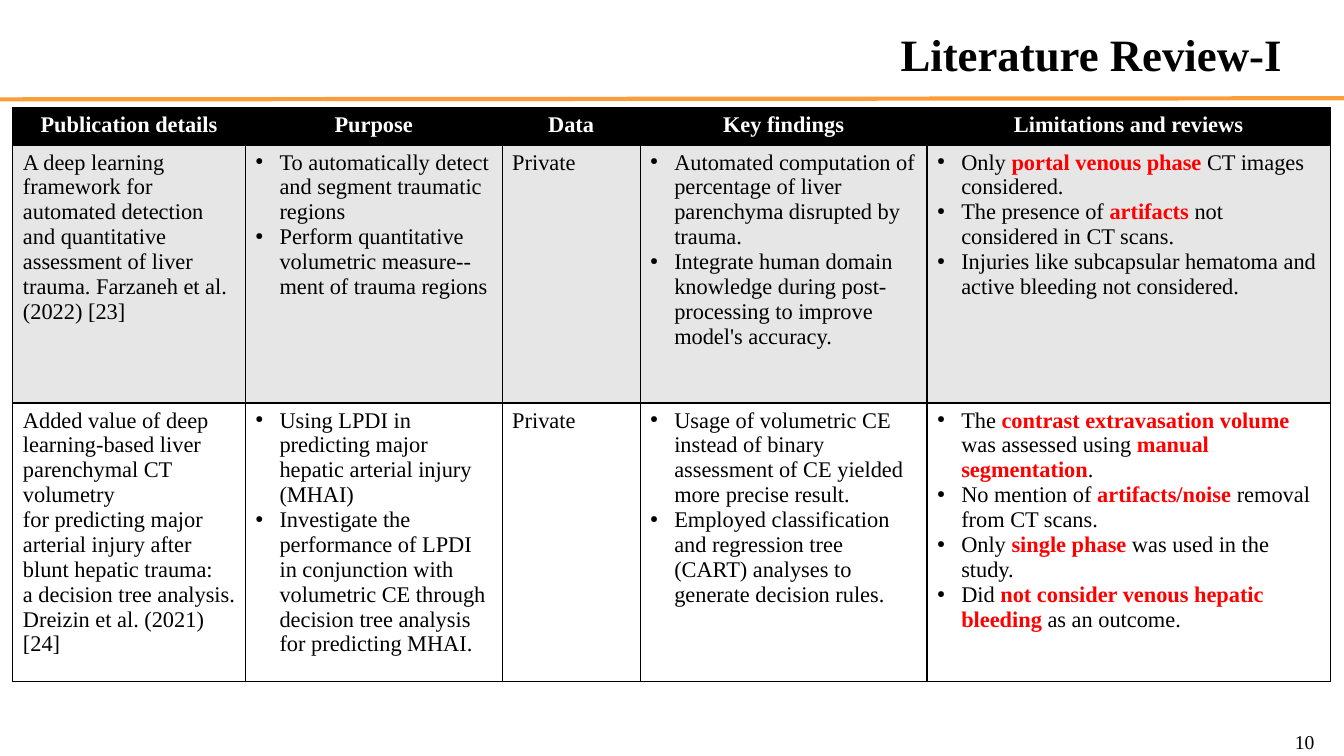
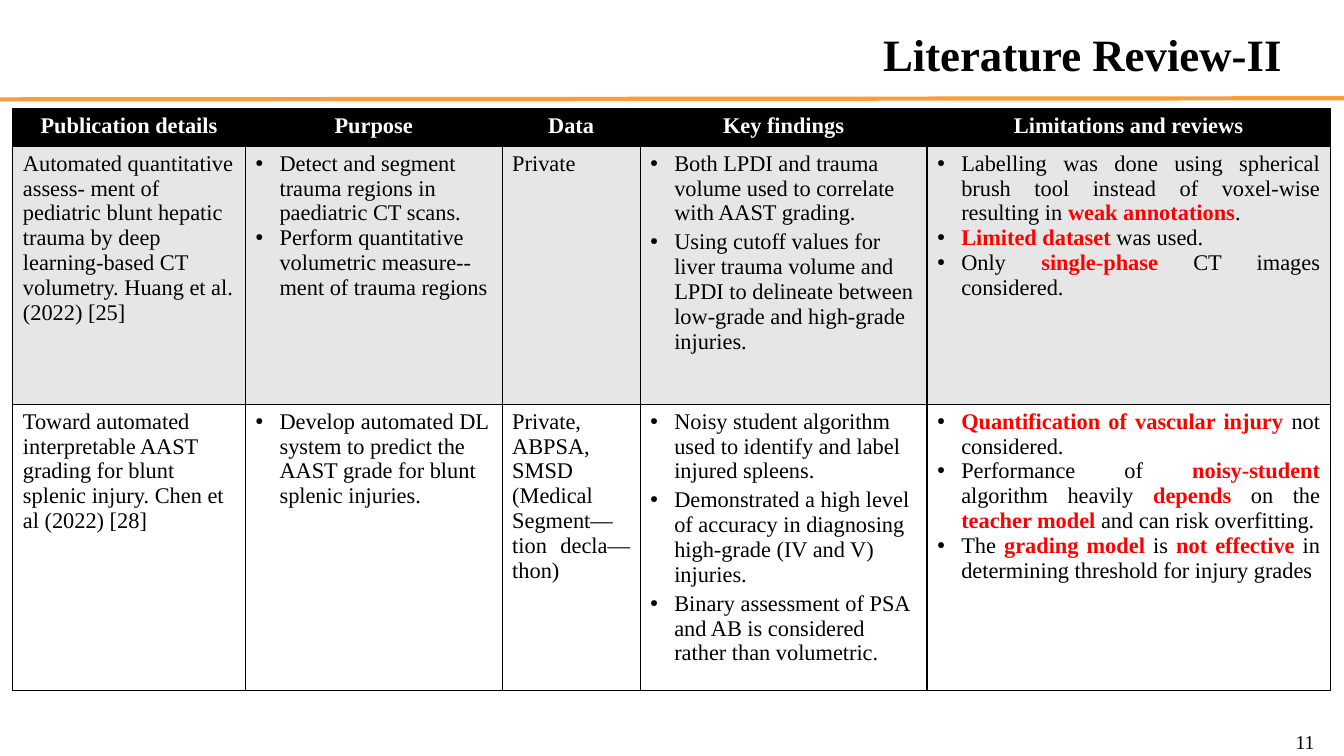
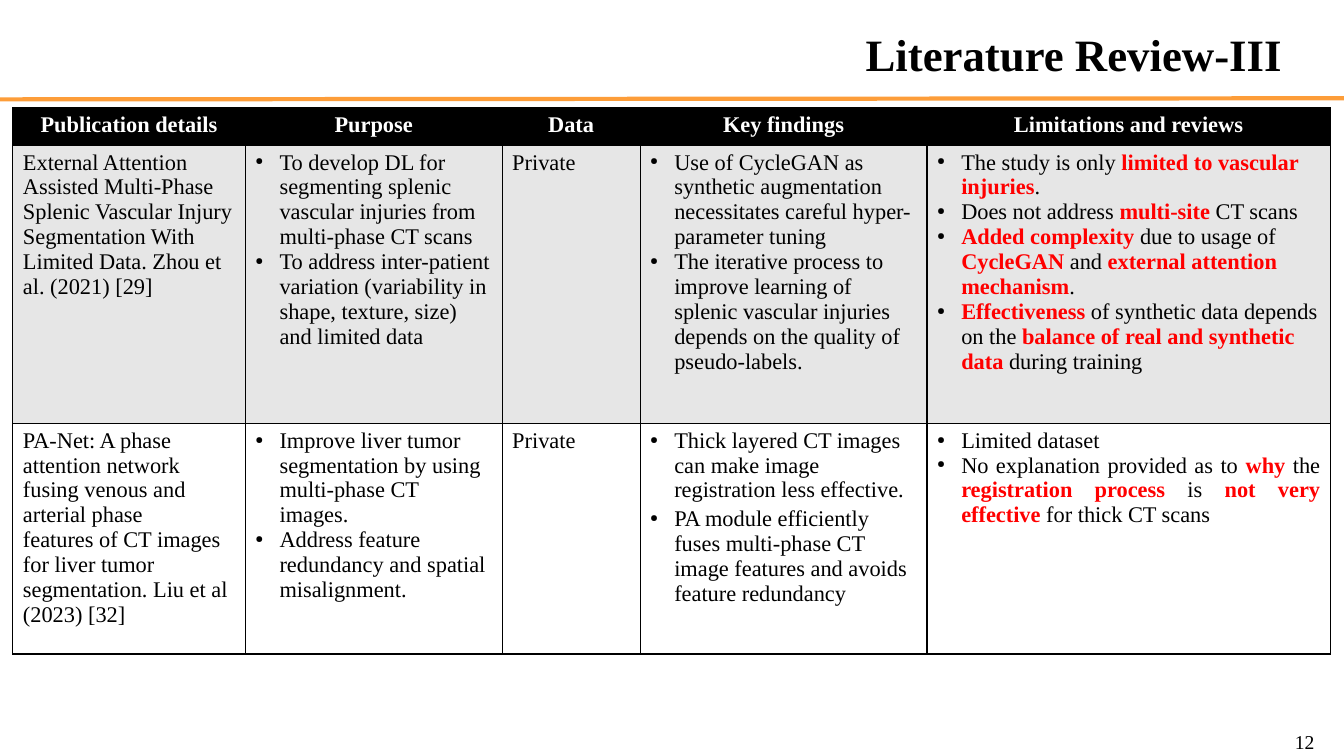
from copy import deepcopy
from dataclasses import dataclass

from lxml import etree
from pptx import Presentation
from pptx.dml.color import RGBColor
from pptx.enum import shapes, text
from pptx.oxml import ns
from pptx.util import Pt


@dataclass(frozen=True)
class Theme:
    font: str = "Times New Roman"
    ink: str = "000000"
    paper: str = "FFFFFF"
    shade: str = "E6E6E6"
    alert: str = "FF0000"
    accent: str = "FD9D39"
    title_size: float = 32
    table_size: float = 16
    number_size: float = 14
    rule_width: float = 3
    border_width: float = 0.85
    bullet_indent: float = 17.3
    bullet_percent: int = 45
    loose_gap: float = 2.8


@dataclass(frozen=True)
class Study:
    """One table row; *asterisks* mark critical wording.

    A loose row has gaps between findings and justified limitations.
    """
    publication: str
    purposes: list
    data: list
    findings: list
    limitations: list
    loose: bool = False


@dataclass(frozen=True)
class Review:
    title: str
    number: int
    table_top: float
    study_heights: tuple
    studies: list


THEME = Theme()
ALIGN = text.PP_ALIGN
SLIDE_WIDTH, SLIDE_HEIGHT = 960, 540
TABLE_LEFT = 9.2
HEADER_HEIGHT = 26.6
COLUMNS = {
    "Publication details": 166,
    "Purpose": 183.5,
    "Data": 98.5,
    "Key findings": 205,
    "Limitations and reviews": 288,
}

REVIEWS = [
    Review("Literature Review-I", 10, 77, (184.3, 198.8), [
        Study(
            "A deep learning framework for automated detection and quantitative "
            "assessment of liver trauma. Farzaneh et al. (2022) [23]",
            ["To automatically detect and segment traumatic regions",
             "Perform quantitative volumetric measure--ment of trauma regions"],
            ["Private"],
            ["Automated computation of percentage of liver parenchyma disrupted by trauma.",
             "Integrate human domain knowledge during post-processing to improve "
             "model's accuracy."],
            ["Only *portal venous phase* CT images considered.",
             "The presence of *artifacts* not considered in CT scans.",
             "Injuries like subcapsular hematoma and active bleeding not considered."]),
        Study(
            "Added value of deep learning‑based liver parenchymal CT volumetry\n"
            "for predicting major arterial injury after blunt hepatic trauma:\n"
            "a decision tree analysis. Dreizin et al. (2021) [24]",
            ["Using LPDI in predicting major hepatic arterial injury (MHAI)",
             "Investigate the performance of LPDI in conjunction with volumetric CE "
             "through decision tree analysis for predicting MHAI."],
            ["Private"],
            ["Usage of volumetric CE instead of binary assessment of CE yielded more "
             "precise result.",
             "Employed classification and regression tree (CART) analyses to generate "
             "decision rules."],
            ["The *contrast extravasation volume* was assessed using *manual segmentation*.",
             "No mention of *artifacts/noise* removal from CT scans.",
             "Only *single phase* was used in the study.",
             "Did *not consider venous hepatic bleeding* as an outcome."]),
    ]),
    Review("Literature Review-II", 11, 77.8, (184.3, 204.5), [
        Study(
            "Automated quantitative assess- ment of pediatric blunt hepatic trauma by "
            "deep learning-based CT volumetry. Huang et al.(2022) [25]",
            ["Detect and segment trauma regions in paediatric CT scans.",
             "Perform quantitative volumetric measure--ment of trauma regions"],
            ["Private"],
            ["Both LPDI and trauma volume used to correlate with AAST grading.",
             "Using cutoff values for liver trauma volume and LPDI to delineate between "
             "low-grade and high-grade injuries."],
            ["Labelling was done using spherical brush tool instead of voxel-wise "
             "resulting in *weak annotations*.",
             "*Limited dataset* was used.",
             "Only *single-phase* CT images considered."],
            loose=True),
        Study(
            "Toward automated interpretable AAST grading for blunt splenic injury. "
            "Chen et al (2022) [28]",
            ["Develop automated DL system to predict the AAST grade for blunt splenic "
             "injuries."],
            ["Private,", "ABPSA,", "SMSD (Medical Segment—tion decla—thon)"],
            ["Noisy student algorithm used to identify and label injured spleens.",
             "Demonstrated a high level of accuracy in diagnosing high-grade (IV and V) "
             "injuries.",
             "Binary assessment of PSA and AB is considered rather than volumetric."],
            ["*Quantification of vascular injury* not considered.",
             "Performance of *noisy-student* algorithm heavily *depends* on the "
             "*teacher model* and can risk overfitting.",
             "The *grading model* is *not effective* in determining threshold for "
             "injury grades"],
            loose=True),
    ]),
    Review("Literature Review-III", 12, 77, (198.7, 164.9), [
        Study(
            "External Attention Assisted Multi-Phase Splenic Vascular Injury "
            "Segmentation With Limited Data. Zhou et al. (2021) [29]",
            ["To develop DL for segmenting splenic vascular injuries from multi-phase "
             "CT scans",
             "To address inter-patient variation (variability in shape, texture, size) "
             "and limited data"],
            ["Private"],
            ["Use of CycleGAN as synthetic augmentation necessitates careful "
             "hyper-parameter tuning",
             "The iterative process to improve learning of splenic vascular injuries "
             "depends on the quality of pseudo-labels."],
            ["The study is only *limited to vascular injuries*.",
             "Does not address *multi-site* CT scans",
             "*Added complexity* due to usage of *CycleGAN* and "
             "*external attention mechanism*.",
             "*Effectiveness* of synthetic data depends on the "
             "*balance of real and synthetic data* during training"]),
        Study(
            "PA-Net: A phase attention network fusing venous and arterial phase\n"
            "features of CT images for liver tumor segmentation. Liu et al (2023) [32]",
            ["Improve liver tumor segmentation by using multi-phase CT images.",
             "Address feature redundancy and spatial misalignment."],
            ["Private"],
            ["Thick layered CT images can make image registration less effective.",
             "PA module efficiently fuses multi-phase CT image features and avoids "
             "feature redundancy"],
            ["Limited dataset",
             "No explanation provided as to *why* the *registration process* is "
             "*not very effective* for thick CT scans"],
            loose=True),
    ]),
]


def style_font(font, size, color=THEME.ink, bold=False):
    font.name = THEME.font
    font.size = Pt(size)
    font.bold = bold
    font.color.rgb = RGBColor.from_string(color)


def place(shape, left, top, width, height):
    shape.left, shape.top = Pt(left), Pt(top)
    shape.width, shape.height = Pt(width), Pt(height)


def add_solid_color(parent, color):
    fill = etree.SubElement(parent, ns.qn("a:solidFill"))
    etree.SubElement(fill, ns.qn("a:srgbClr"), val=color)


def add_bullet(paragraph):
    properties = paragraph._p.get_or_add_pPr()
    indent = Pt(THEME.bullet_indent)
    properties.set("marL", str(indent))
    properties.set("indent", str(-indent))
    bullet_color = etree.SubElement(properties, ns.qn("a:buClr"))
    etree.SubElement(bullet_color, ns.qn("a:srgbClr"), val=THEME.ink)
    etree.SubElement(properties, ns.qn("a:buSzPct"), val=str(THEME.bullet_percent * 1000))
    etree.SubElement(properties, ns.qn("a:buChar"), char="●")


def write_marked(paragraph, marked, color, bold):
    """Write text whose *marked* parts turn bold in the alert colour."""
    for position, part in enumerate(marked.split("*")):
        for line_index, line in enumerate(part.split("\n")):
            if line_index:
                paragraph.add_line_break()
            if not line:
                continue
            run = paragraph.add_run()
            run.text = line
            critical = position % 2 == 1
            style_font(run.font, THEME.table_size,
                       THEME.alert if critical else color, bold or critical)
    for line_break in paragraph._p.findall(ns.qn("a:br")):
        line_break.append(deepcopy(paragraph.runs[0].font._rPr))


def fill_cell(cell, items, background, color=THEME.ink, bold=False,
              align=ALIGN.LEFT, bulleted=False, gap=0):
    properties = cell._tc.get_or_add_tcPr()
    for side in "LRTB":
        border = etree.SubElement(properties, ns.qn(f"a:ln{side}"),
                                  w=str(Pt(THEME.border_width)))
        add_solid_color(border, THEME.ink)
    cell.fill.solid()
    cell.fill.fore_color.rgb = RGBColor.from_string(background)
    for index, item in enumerate(items):
        frame = cell.text_frame
        paragraph = frame.add_paragraph() if index else frame.paragraphs[0]
        paragraph.alignment = align
        if gap:
            paragraph.space_after = Pt(gap)
        if bulleted:
            add_bullet(paragraph)
        write_marked(paragraph, item, color, bold)


def fill_study(cells, study, background):
    publication, purpose, data, findings, limitations = cells
    fill_cell(publication, [study.publication], background)
    fill_cell(purpose, study.purposes, background, bulleted=True)
    fill_cell(data, study.data, background, align=ALIGN.JUSTIFY)
    fill_cell(findings, study.findings, background, bulleted=True,
              gap=THEME.loose_gap if study.loose else 0)
    fill_cell(limitations, study.limitations, background, bulleted=True,
              align=ALIGN.JUSTIFY if study.loose else ALIGN.LEFT)


def add_study_table(slide, review):
    heights = (HEADER_HEIGHT, *review.study_heights)
    table = slide.shapes.add_table(
        len(heights), len(COLUMNS), Pt(TABLE_LEFT), Pt(review.table_top),
        Pt(sum(COLUMNS.values())), Pt(sum(heights))).table
    table.horz_banding = False
    for column, width in zip(table.columns, COLUMNS.values()):
        column.width = Pt(width)
    for row, height in zip(table.rows, heights):
        row.height = Pt(height)
    header, *study_rows = table.rows
    for cell, heading in zip(header.cells, COLUMNS):
        fill_cell(cell, [heading], THEME.ink, THEME.paper, True, ALIGN.CENTER)
    for row, study, background in zip(study_rows, review.studies,
                                      (THEME.shade, THEME.paper)):
        fill_study(row.cells, study, background)


def add_header_rule(slide):
    rule = slide.shapes.add_connector(
        shapes.MSO_CONNECTOR.STRAIGHT, Pt(0), Pt(71), Pt(SLIDE_WIDTH), Pt(70.2))
    rule.line.color.rgb = RGBColor.from_string(THEME.accent)
    rule.line.width = Pt(THEME.rule_width)
    etree.SubElement(rule._element.spPr, ns.qn("a:effectLst"))


def set_title(slide, title):
    heading = slide.shapes.title
    place(heading, 480, 15, 443, 46)
    frame = heading.text_frame
    frame.text = title
    frame.auto_size = text.MSO_AUTO_SIZE.NONE
    frame.vertical_anchor = text.MSO_ANCHOR.MIDDLE
    frame.paragraphs[0].alignment = ALIGN.RIGHT
    style_font(frame.paragraphs[0].runs[0].font, THEME.title_size, bold=True)


def add_page_number(slide, number):
    frame = slide.shapes.add_textbox(Pt(888.5), Pt(521.5), Pt(57.5), Pt(17)).text_frame
    frame.text = str(number)
    frame.word_wrap = True
    frame.margin_top = frame.margin_bottom = 0
    frame.vertical_anchor = text.MSO_ANCHOR.MIDDLE
    frame.paragraphs[0].alignment = ALIGN.RIGHT
    style_font(frame.paragraphs[0].runs[0].font, THEME.number_size)


def main():
    deck = Presentation()
    deck.slide_width, deck.slide_height = Pt(SLIDE_WIDTH), Pt(SLIDE_HEIGHT)
    title_only = deck.slide_layouts.get_by_name("Title Only")
    for review in REVIEWS:
        slide = deck.slides.add_slide(title_only)
        add_header_rule(slide)
        set_title(slide, review.title)
        add_study_table(slide, review)
        add_page_number(slide, review.number)
    deck.save("out.pptx")


if __name__ == "__main__":
    main()
